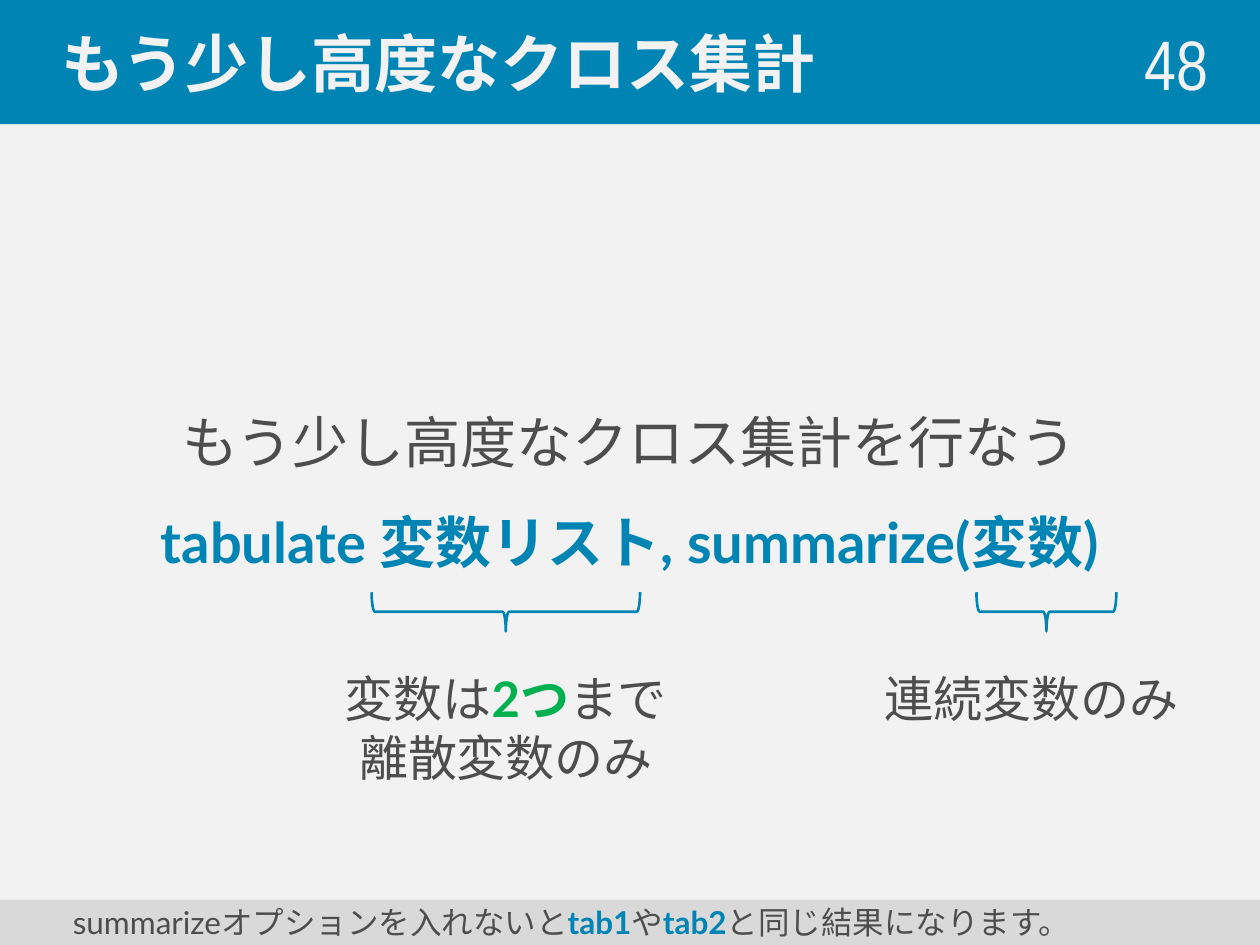
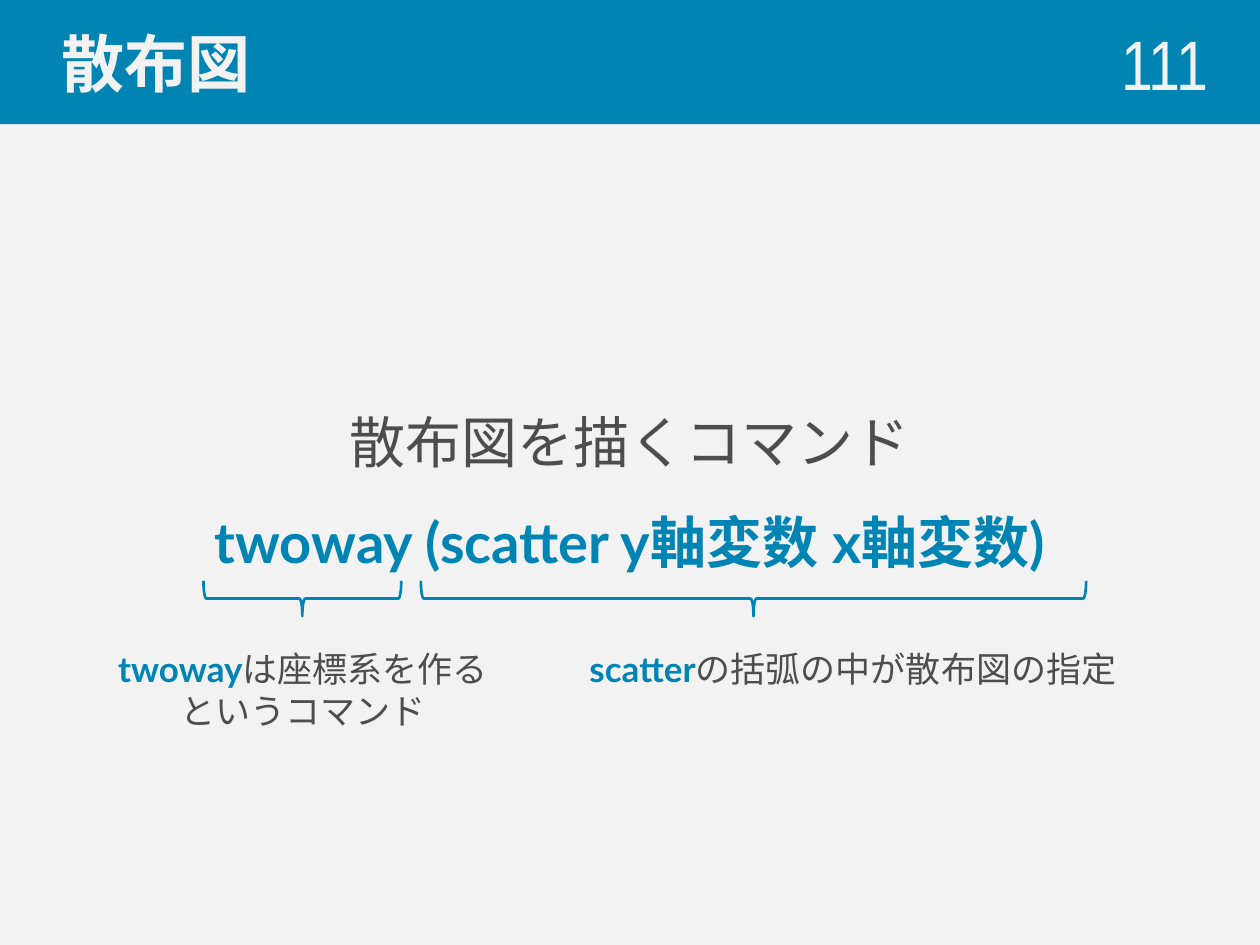
from lxml.etree import SubElement
from pptx import Presentation
from pptx.dml.color import RGBColor
from pptx.enum.shapes import MSO_SHAPE
from pptx.enum.text import MSO_ANCHOR, PP_ALIGN
from pptx.oxml.ns import qn
from pptx.util import Inches, Pt

BLUE = RGBColor(0x00, 0x84, 0xB4)
GREEN = RGBColor(0x00, 0xB0, 0x50)
INK = RGBColor(0x4D, 0x4D, 0x4D)
PALE = RGBColor(0xF2, 0xF2, 0xF2)
GREY = RGBColor(0xD9, 0xD9, 0xD9)

SLIDE_WIDTH, SLIDE_HEIGHT = Inches(10), Inches(7.5)
COLUMNS, ROWS = 100, 75
FOOTER_ROWS = 3.6

PLAIN = {"color": INK, "bold": False}
COMMAND = {"color": BLUE, "bold": True}
LIMIT = {"color": GREEN, "bold": True}
TITLE = {"color": PALE, "bold": True}
NUMBER = {"color": PALE, "bold": False}


def across(columns):
    return round(SLIDE_WIDTH * columns / COLUMNS)


def down(rows):
    return round(SLIDE_HEIGHT * rows / ROWS)


def place(left, top, width, height):
    return across(left), down(top), across(width), down(height)


def apply(target, values):
    for attribute, value in values.items():
        setattr(target, attribute, value)


def add_span(paragraph, words, style, size, face):
    for index, line in enumerate(words.split("\n")):
        if index:
            paragraph.add_line_break()
        run = paragraph.add_run()
        run.text = line
        apply(run.font, {"name": face, "size": Pt(size), "bold": style["bold"]})
        run.font.color.rgb = style["color"]
        SubElement(run.font._element, qn("a:ea"), typeface=face)


def write(frame, lines, size, face="Lato", anchor=MSO_ANCHOR.TOP,
          align=PP_ALIGN.CENTER, spacing=1.0, indent=0):
    apply(frame, {"word_wrap": True, "vertical_anchor": anchor})
    for index, spans in enumerate(lines):
        paragraph = frame.add_paragraph() if index else frame.paragraphs[0]
        apply(paragraph, {"alignment": align, "line_spacing": spacing})
        paragraph._p.get_or_add_pPr().set("marL", str(across(indent)))
        for words, style in spans:
            add_span(paragraph, words, style, size, face)


def add_text(slide, box, lines, size, **layout):
    write(slide.shapes.add_textbox(*place(*box)).text_frame, lines, size, **layout)


def add_band(slide, top, height, color, spans, size, indent, face="Lato"):
    band = slide.shapes.add_shape(MSO_SHAPE.RECTANGLE, *place(0, top, COLUMNS, height))
    band.shadow.inherit = False
    band.fill.solid()
    band.fill.fore_color.rgb = color
    band.line.fill.background()
    write(band.text_frame, [spans], size, face, MSO_ANCHOR.MIDDLE,
          PP_ALIGN.LEFT, indent=indent)


def add_brace(slide, left, right, top, depth):
    span = right - left
    box = place((left + right - depth) / 2, top + (depth - span) / 2, depth, span)
    brace = slide.shapes.add_shape(MSO_SHAPE.LEFT_BRACE, *box)
    apply(brace, {"rotation": 270})
    brace.shadow.inherit = False
    brace.fill.background()
    brace.line.color.rgb = BLUE
    brace.line.width = Pt(1.5)


def add_command_slide(deck, title, number, purpose, command):
    slide = deck.slides.add_slide(deck.slide_layouts[6])
    add_band(slide, 0, 9.85, BLUE, [(title, TITLE)], 36, 3.9, "Roboto")
    add_text(slide, (5, 12.3, 90, 50.7), [[(purpose, PLAIN)], [(command, COMMAND)]],
             32, anchor=MSO_ANCHOR.MIDDLE, spacing=1.5)
    add_text(slide, (77.6, 1.9, 19.3, 6.1), [[(number, NUMBER)]], 40,
             face="Arial Narrow", anchor=MSO_ANCHOR.MIDDLE, align=PP_ALIGN.RIGHT)
    return slide


def add_crosstab_slide(deck):
    slide = add_command_slide(deck, "もう少し高度なクロス集計", "48",
                              "もう少し高度なクロス集計を行なう",
                              "tabulate 変数リスト, summarize(変数)")
    for left, right in ((29.5, 50.8), (77.5, 88.6)):
        add_brace(slide, left, right, 47, 3.1)
    list_note = [[("変数は", PLAIN), ("2つ", LIMIT), ("まで", PLAIN)],
                 [("離散変数のみ", PLAIN)]]
    add_text(slide, (25.2, 52.6, 29.9, 10.4), list_note, 28)
    add_text(slide, (66.9, 52.6, 29.9, 5.7), [[("連続変数のみ", PLAIN)]], 28)
    add_band(slide, ROWS - FOOTER_ROWS, FOOTER_ROWS, GREY,
             [("summarizeオプションを入れないと", PLAIN), ("tab1", COMMAND),
              ("や", PLAIN), ("tab2", COMMAND), ("と同じ結果になります。", PLAIN)],
             18, 4.8)


def add_scatter_slide(deck):
    slide = add_command_slide(deck, "散布図", "111", "散布図を描くコマンド",
                              "twoway (scatter y軸変数 x軸変数)")
    for left, right in ((33.4, 86.2), (16.15, 31.85)):
        add_brace(slide, left, right, 46.1, 2.8)
    add_text(slide, (42.9, 50.9, 49.6, 4.4),
             [[("scatter", COMMAND), ("の括弧の中が散布図の指定", PLAIN)]], 20)
    add_text(slide, (7.1, 50.9, 33.9, 7.7),
             [[("twoway", COMMAND), ("は座標系を作る\nというコマンド", PLAIN)]], 20)


def main():
    deck = Presentation()
    apply(deck, {"slide_width": SLIDE_WIDTH, "slide_height": SLIDE_HEIGHT})
    backdrop = deck.slide_master.background.fill
    backdrop.solid()
    backdrop.fore_color.rgb = PALE
    add_crosstab_slide(deck)
    add_scatter_slide(deck)
    deck.save("out.pptx")


if __name__ == "__main__":
    main()
